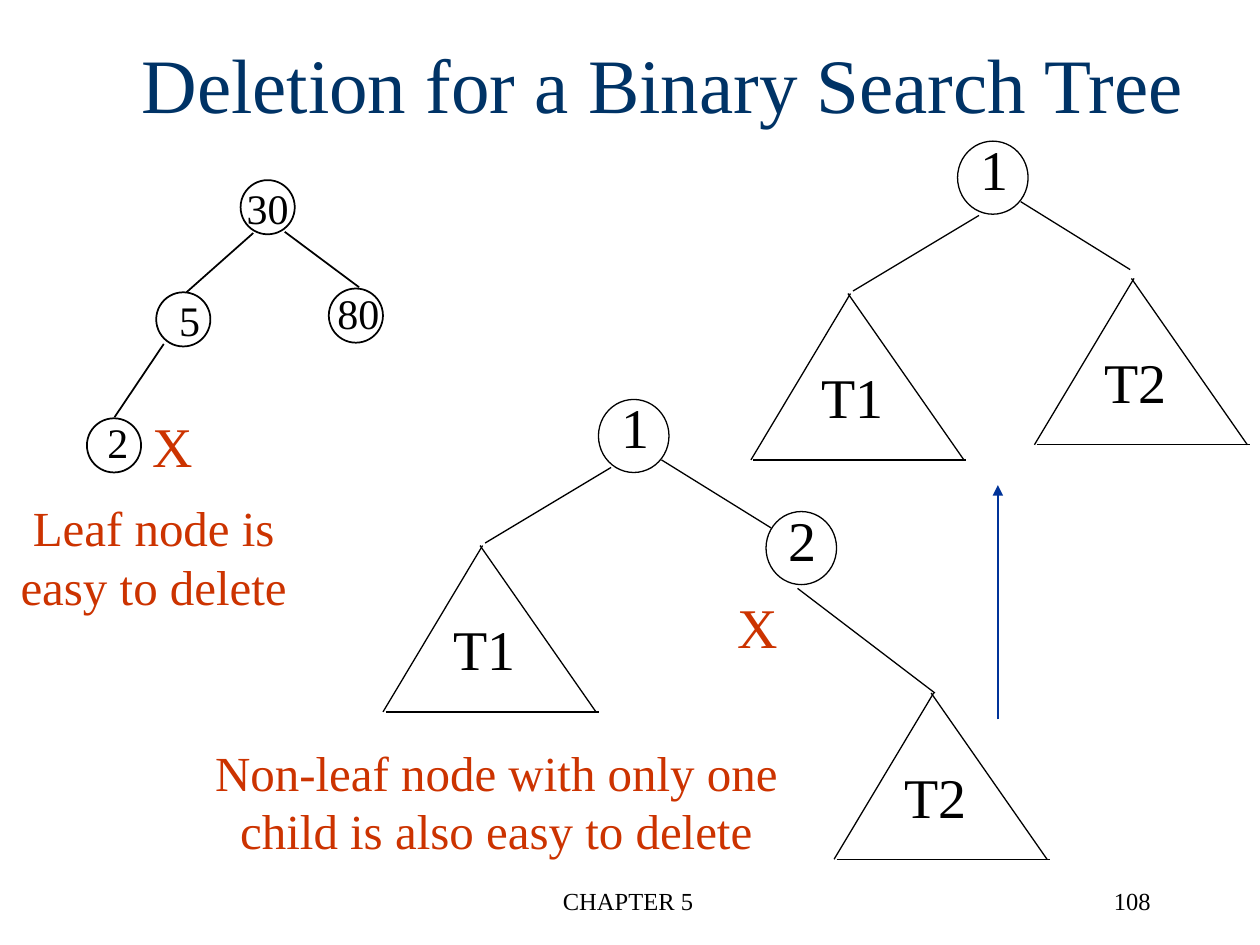
from lxml import etree
from pptx import Presentation
from pptx.dml.color import RGBColor
from pptx.enum.shapes import MSO_CONNECTOR, MSO_SHAPE
from pptx.enum.text import MSO_ANCHOR, PP_ALIGN
from pptx.oxml.ns import qn
from pptx.util import Inches, Pt

STRAIGHT = MSO_CONNECTOR.STRAIGHT
OVAL = MSO_SHAPE.OVAL
TOP, MIDDLE = MSO_ANCHOR.TOP, MSO_ANCHOR.MIDDLE
CENTER, RIGHT = PP_ALIGN.CENTER, PP_ALIGN.RIGHT

FONT = "Times New Roman"
BLACK, RED, NAVY, BLUE = "000000", "CC3300", "003366", "003399"


def color(hex_string):
    return RGBColor.from_string(hex_string)


def write(frame, words, size, ink=BLACK, align=CENTER, anchor=TOP, wrap=False):
    frame.word_wrap = wrap
    frame.vertical_anchor = anchor
    frame.margin_left = frame.margin_right = Inches(0.1 if wrap else 0)
    frame.margin_top = frame.margin_bottom = Inches(0.05)
    paragraph = frame.paragraphs[0]
    paragraph.alignment = align
    run = paragraph.add_run()
    run.text = words
    run.font.name = FONT
    run.font.size = Pt(size)
    run.font.color.rgb = color(ink)


def add_label(slide, left, top, width, height, words, size, **style):
    label = slide.shapes.add_textbox(
        Inches(left), Inches(top), Inches(width), Inches(height))
    write(label.text_frame, words, size, **style)


def add_edge(slide, left, top, start, end, weight=0.75, ink=BLACK, arrow=False):
    edge = slide.shapes.add_connector(
        STRAIGHT, Inches(left + start[0]), Inches(top + start[1]),
        Inches(left + end[0]), Inches(top + end[1]))
    edge.line.color.rgb = color(ink)
    edge.line.width = Pt(weight)
    properties = edge._element.spPr
    etree.SubElement(properties, qn("a:effectLst"))
    if arrow:
        tip = etree.SubElement(properties.find(qn("a:ln")), qn("a:tailEnd"))
        tip.set("type", "triangle")


def add_circle(slide, left, top, width, height, weight):
    circle = slide.shapes.add_shape(
        OVAL, Inches(left), Inches(top), Inches(width), Inches(height))
    circle.shadow.inherit = False
    circle.fill.background()
    circle.line.color.rgb = color(BLACK)
    circle.line.width = Pt(weight)
    return circle


def add_node(slide, left, top, key):
    add_circle(slide, left, top, 0.56, 0.58, 0.75)
    add_label(slide, left + 0.08, top - 0.1, 0.42, 0.63, key, 32)


def add_subtree(slide, left, top, name):
    for start, end in (((0.79, 0), (0, 1.32)),
                       ((0.02, 1.32), (1.71, 1.32)),
                       ((0.77, 0), (1.69, 1.32))):
        add_edge(slide, left, top, start, end)
    add_label(slide, left + 0.46, top + 0.5, 0.69, 0.63, name, 32)


def add_root_with_t1(slide, left, top, subtree_left, subtree_top):
    add_node(slide, left, top, "1")
    add_edge(slide, left, top, (0.5, 0.48), (1.37, 1.02))
    add_edge(slide, subtree_left, subtree_top, (1.81, -0.62), (0.81, -0.02))
    add_subtree(slide, subtree_left, subtree_top, "T1")


def add_deleted_mark(slide, left, top):
    add_label(slide, left, top, 0.52, 0.63, "X", 32, ink=RED)


def add_caption(slide, left, top, width, words):
    add_label(slide, left, top, width, 1.04, words, 28, ink=RED, wrap=True)


def add_title(slide, left, top, width, height):
    title = slide.shapes.title
    title.left, title.top = Inches(left), Inches(top)
    title.width, title.height = Inches(width), Inches(height)
    write(title.text_frame, "Deletion for a Binary Search Tree", 44,
          ink=NAVY, anchor=MIDDLE, wrap=True)


def add_leaf_case(slide, left, top):
    diameter = 0.43
    root = add_circle(slide, left + 1.22, top, diameter, diameter, 1)
    write(root.text_frame, "30", 24, anchor=MIDDLE)
    for x, y, key, label_x, label_y, label_width in (
            (0.55, 0.89, "5", 0.08, -0.03, 0.37),
            (1.92, 0.86, "80", -0.03, -0.06, 0.53),
            (0, 1.89, "2", 0.06, -0.06, 0.37)):
        add_circle(slide, left + x, top + y, diameter, diameter, 1)
        add_label(slide, left + x + label_x, top + y + label_y,
                  label_width, 0.5, key, 24)
    for start, end in (((1.32, 0.42), (0.79, 0.89)),
                       ((0.61, 1.3), (0.22, 1.88)),
                       ((1.57, 0.41), (2.16, 0.85))):
        add_edge(slide, left, top, start, end, weight=1)
    add_deleted_mark(slide, left + 0.42, top + 1.79)
    add_caption(slide, left - 0.7, top + 2.47, 2.46, "Leaf node is easy to delete")


def add_one_child_before(slide, left, top):
    add_root_with_t1(slide, left, top, left - 1.71, top + 1.16)
    add_node(slide, left + 1.33, top + 0.89, "2")
    add_deleted_mark(slide, left + 1, top + 1.48)
    add_edge(slide, left, top, (1.58, 1.5), (2.67, 2.33))
    add_subtree(slide, left + 1.87, top + 2.33, "T2")
    add_caption(slide, left - 3.29, top + 2.67, 4.96,
                "Non-leaf node with only one child is also easy to delete")


def add_one_child_after(slide, left, top):
    add_root_with_t1(slide, left, top, left - 1.64, top + 1.21)
    add_subtree(slide, left + 0.61, top + 1.09, "T2")
    add_edge(slide, left, top, (0.32, 4.59), (0.32, 2.73), ink=BLUE, arrow=True)


def add_footer(slide, left, top):
    add_label(slide, left, top, 3.17, 0.5, "CHAPTER 5", 14, wrap=True)
    add_label(slide, left + 3.75, top, 2.08, 0.5, "108", 14, align=RIGHT, wrap=True)


def main():
    deck = Presentation()
    deck.slide_width, deck.slide_height = Inches(10), Inches(7.5)
    slide = deck.slides.add_slide(deck.slide_layouts[5])
    add_title(slide, 0.25, 0.03, 10.02, 1.25)
    add_leaf_case(slide, 0.69, 1.43)
    add_one_child_before(slide, 4.75, 3.17)
    add_one_child_after(slide, 7.6, 1.12)
    add_footer(slide, 3.4, 6.98)
    deck.save("out.pptx")


if __name__ == "__main__":
    main()
